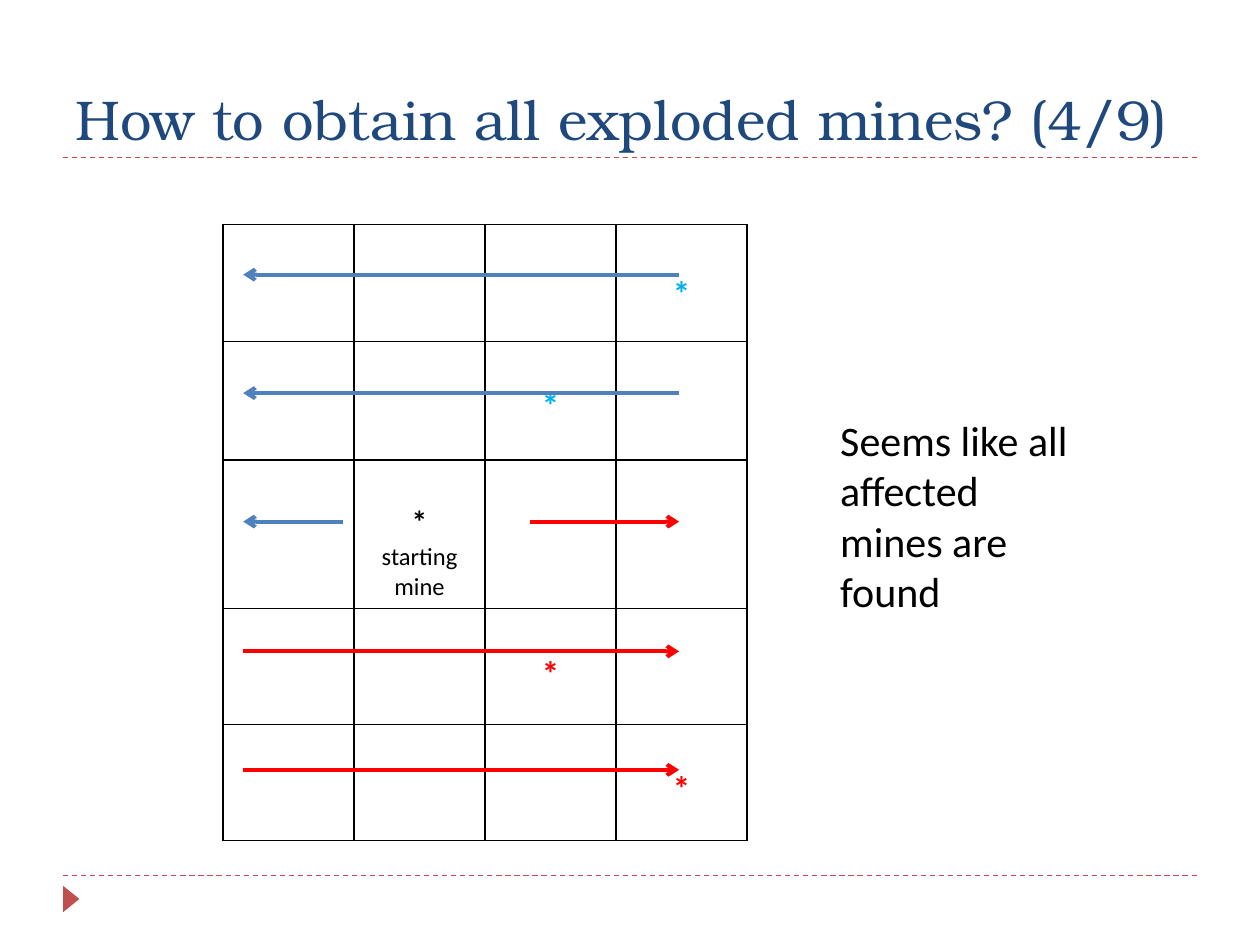
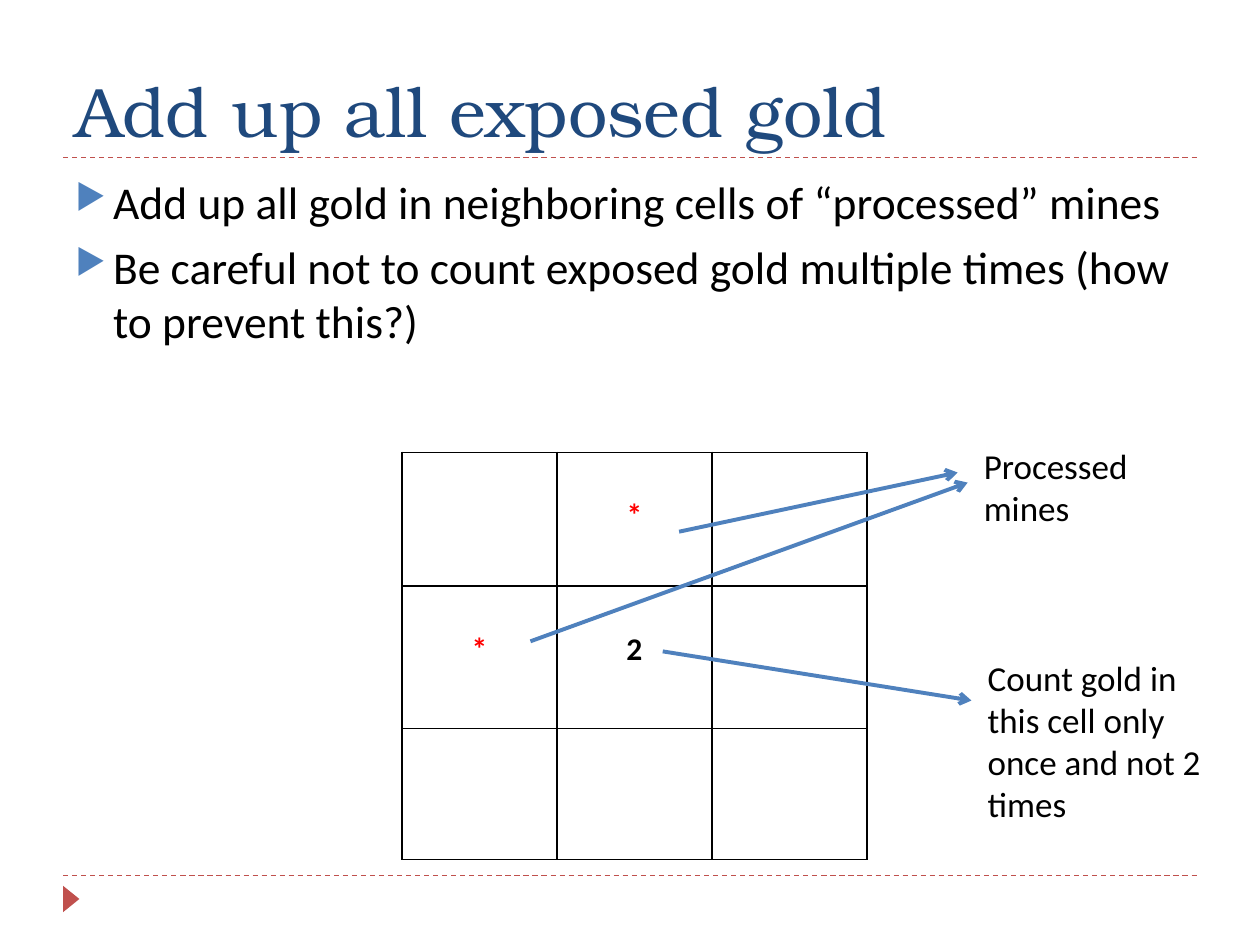
from dataclasses import dataclass
from typing import Optional

from lxml.etree import SubElement
from pptx import Presentation
from pptx.dml.color import RGBColor
from pptx.enum.dml import MSO_LINE
from pptx.enum.shapes import MSO_CONNECTOR, MSO_SHAPE
from pptx.enum.text import MSO_ANCHOR, PP_ALIGN
from pptx.oxml.ns import qn
from pptx.util import Inches, Pt

NAVY = RGBColor(0x1F, 0x49, 0x7D)
BLUE = RGBColor(0x4F, 0x81, 0xBD)
SKY = RGBColor(0x00, 0xB0, 0xF0)
BRICK = RGBColor(0xC0, 0x50, 0x4D)
RED = RGBColor(0xFF, 0x00, 0x00)
BLACK = RGBColor(0x00, 0x00, 0x00)
TITLE_FONT = "TeX Gyre Bonum"
BODY_FONT = "Calibri"


@dataclass(frozen=True)
class Arrow:
    start: tuple[float, float]
    end: tuple[float, float]
    color: RGBColor = BLUE


@dataclass(frozen=True)
class Mark:
    row: int
    column: int
    text: str
    color: RGBColor
    size: int = 18
    top_margin: float = 0.35
    caption: str = ""


@dataclass(frozen=True)
class Note:
    left: float
    top: float
    width: float
    height: float
    text: str
    size: int = 20


def write_text(paragraph, text: str, *, size: int, color: RGBColor = BLACK,
               font: str = BODY_FONT, bold: bool = False,
               align: Optional[PP_ALIGN] = None) -> None:
    run = paragraph.add_run()
    run.text = text
    run.font.size = Pt(size)
    run.font.name = font
    run.font.bold = bold
    run.font.color.rgb = color
    paragraph.alignment = align


def add_text_frame(slide, left: float, top: float, width: float, height: float):
    box = slide.shapes.add_textbox(Inches(left), Inches(top), Inches(width), Inches(height))
    box.text_frame.word_wrap = True
    return box.text_frame


def add_line(slide, start: tuple[float, float], end: tuple[float, float],
             color: RGBColor, width: float):
    connector = slide.shapes.add_connector(
        MSO_CONNECTOR.STRAIGHT, *(Inches(value) for value in (*start, *end)))
    connector.line.color.rgb = color
    connector.line.width = Pt(width)
    SubElement(connector.element.spPr, qn("a:effectLst"))
    return connector


def add_arrow(slide, arrow: Arrow) -> None:
    connector = add_line(slide, arrow.start, arrow.end, arrow.color, 2.25)
    SubElement(connector.line._get_or_add_ln(), qn("a:tailEnd"), type="arrow")


def add_note(slide, note: Note) -> None:
    frame = add_text_frame(slide, note.left, note.top, note.width, note.height)
    write_text(frame.paragraphs[0], note.text, size=note.size)


def add_bullet(paragraph, text: str) -> None:
    paragraph.space_before = Pt(6)
    write_text(paragraph, text, size=26)
    properties = paragraph._p.get_or_add_pPr()
    properties.set("marL", str(Inches(0.3)))
    properties.set("indent", str(Inches(-0.3)))
    bullet_color = SubElement(properties, qn("a:buClr"))
    SubElement(bullet_color, qn("a:srgbClr"), val=str(BLUE))
    SubElement(properties, qn("a:buSzPct"), val="76000")
    SubElement(properties, qn("a:buChar"), char="▶")


def outline_cell(cell) -> None:
    properties = cell._tc.get_or_add_tcPr()
    for side in ("L", "R", "T", "B"):
        border = SubElement(properties, qn(f"a:ln{side}"), w=str(Pt(1)))
        fill = SubElement(border, qn("a:solidFill"))
        SubElement(fill, qn("a:srgbClr"), val=str(BLACK))
    cell.fill.background()


def add_grid(slide, left: float, top: float, column_count: int, column_width: float,
             row_heights: list[float], marks: list[Mark]) -> None:
    table = slide.shapes.add_table(
        len(row_heights), column_count, Inches(left), Inches(top),
        Inches(column_width * column_count), Inches(sum(row_heights))).table
    table.first_row = False
    table.horz_banding = False
    for column in table.columns:
        column.width = Inches(column_width)
    for row, height in zip(table.rows, row_heights):
        row.height = Inches(height)
    for cell in table.iter_cells():
        outline_cell(cell)
    for mark in marks:
        cell = table.cell(mark.row, mark.column)
        cell.margin_top = Inches(mark.top_margin)
        write_text(cell.text_frame.paragraphs[0], mark.text, size=mark.size,
                   color=mark.color, bold=True, align=PP_ALIGN.CENTER)
        if mark.caption:
            write_text(cell.text_frame.add_paragraph(), mark.caption, size=14,
                       align=PP_ALIGN.CENTER)


def add_base_slide(presentation, title: str, title_size: int):
    slide = presentation.slides.add_slide(presentation.slide_layouts[6])
    for height in (6.95, 1.25):
        rule = add_line(slide, (0.5, height), (9.5, height), BRICK, 0.75)
        rule.line.dash_style = MSO_LINE.DASH
    marker = slide.shapes.add_shape(MSO_SHAPE.ISOSCELES_TRIANGLE, Inches(0.46),
                                    Inches(7.07), Inches(0.21), Inches(0.13))
    marker.rotation = 90
    marker.shadow.inherit = False
    marker.fill.solid()
    marker.fill.fore_color.rgb = BRICK
    marker.line.fill.background()
    frame = add_text_frame(slide, 0.5, 0.17, 9, 1.08)
    frame.vertical_anchor = MSO_ANCHOR.BOTTOM
    write_text(frame.paragraphs[0], title, size=title_size, color=NAVY, font=TITLE_FONT)
    return slide


def build_exploded_mines(presentation) -> None:
    slide = add_base_slide(presentation, "How to obtain all exploded mines? (4/9)", 32)
    add_grid(slide, 1.77, 1.78, 4, 1.04, [0.93, 0.94, 1.18, 0.92, 0.92], [
        Mark(0, 3, "*", SKY, 20, 0.39),
        Mark(1, 2, "*", SKY, 20),
        Mark(2, 1, "*", BLACK, caption="starting mine"),
        Mark(3, 2, "*", RED, 20),
        Mark(4, 3, "*", RED, 20),
    ])
    left, right = 1.93, 5.39
    add_arrow(slide, Arrow((2.72, 4.14), (left, 4.14)))
    for height in (3.12, 2.18):
        add_arrow(slide, Arrow((right, height), (left, height)))
    add_arrow(slide, Arrow((4.21, 4.14), (right, 4.14), RED))
    for height in (5.17, 6.11):
        add_arrow(slide, Arrow((left, height), (right, height), RED))
    add_note(slide, Note(6.57, 3.24, 2.05, 1.72, "Seems like all affected mines are found", 24))


def build_exposed_gold(presentation) -> None:
    slide = add_base_slide(presentation, "Add up all exposed gold", 40)
    frame = add_text_frame(slide, 0.5, 1.33, 9, 5.4)
    add_bullet(frame.paragraphs[0], "Add up all gold in neighboring cells of “processed” mines")
    add_bullet(frame.add_paragraph(),
               "Be careful not to count exposed gold multiple times (how to prevent this?)")
    add_grid(slide, 3.19, 3.59, 3, 1.23, [1.06, 1.13, 1.04], [
        Mark(0, 1, "*", RED),
        Mark(1, 0, "*", RED),
        Mark(1, 1, "2", BLACK),
    ])
    for arrow in (Arrow((5.39, 4.22), (7.6, 3.75)),
                  Arrow((4.21, 5.09), (7.68, 3.83)),
                  Arrow((5.26, 5.17), (7.71, 5.56))):
        add_arrow(slide, arrow)
    add_note(slide, Note(7.71, 3.48, 1.63, 0.77, "Processed mines"))
    add_note(slide, Note(7.74, 5.16, 2.14, 1.45,
                         "Count gold in this cell only once and not 2 times"))


def main() -> None:
    presentation = Presentation()
    presentation.slide_width = Inches(10)
    presentation.slide_height = Inches(7.5)
    build_exploded_mines(presentation)
    build_exposed_gold(presentation)
    presentation.save("out.pptx")


if __name__ == "__main__":
    main()
